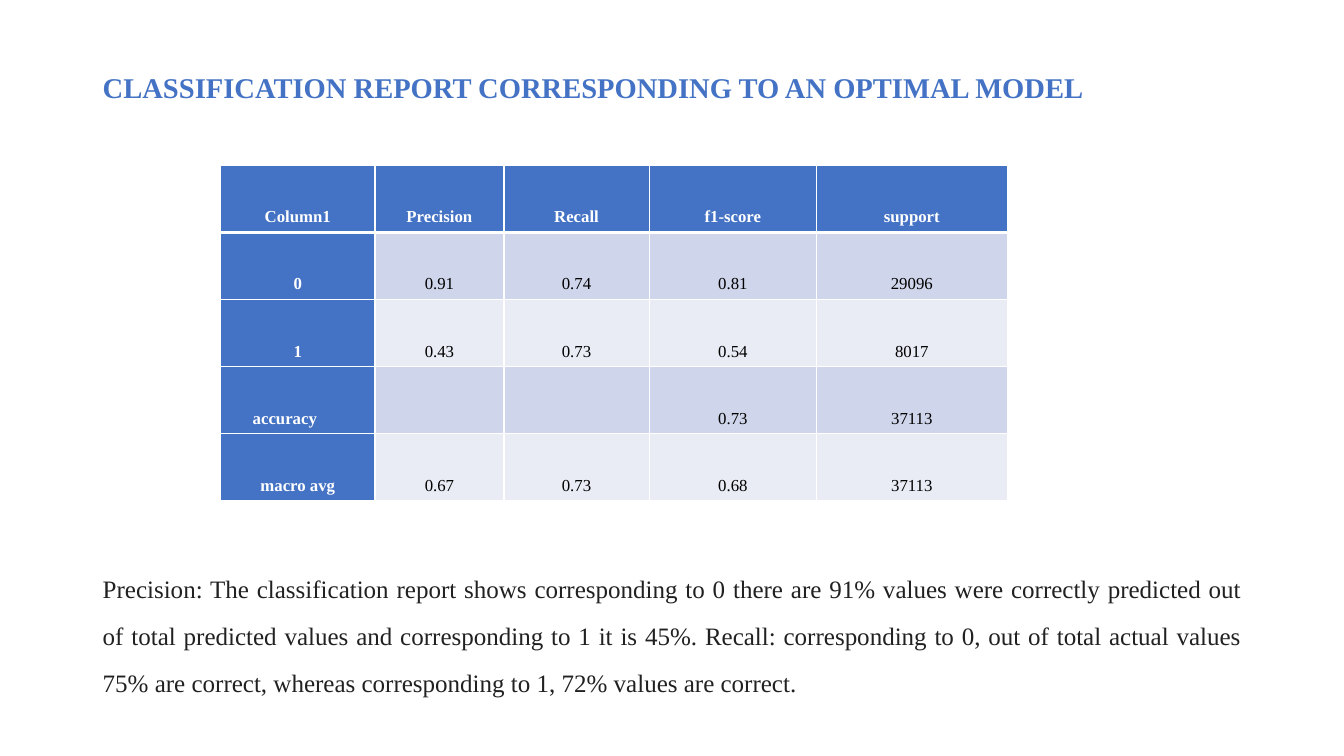
import dataclasses

import lxml.etree
import pptx
import pptx.dml.color
import pptx.enum.text
import pptx.oxml.ns
import pptx.util

Cm = pptx.util.Cm
Align = pptx.enum.text.PP_ALIGN
Anchor = pptx.enum.text.MSO_ANCHOR


@dataclasses.dataclass(frozen=True)
class Theme:
    font: str = "Times New Roman"
    accent: str = "4472C4"
    white: str = "FFFFFF"
    black: str = "000000"
    body: str = "212121"
    bands: tuple[str, str] = ("CFD5EA", "E9EBF5")
    title_size: float = 20.4
    note_size: float = 17.9
    table_size: float = 12
    rule: float = 1
    header_rule: float = 3


@dataclasses.dataclass(frozen=True)
class TextBlock:
    text: str
    top: float
    height: float
    size: float
    color: str
    bold: bool = False
    align: Align = Align.LEFT
    anchor: Anchor = Anchor.TOP
    spacing: float = 1.0


@dataclasses.dataclass(frozen=True)
class Column:
    name: str
    width: float
    values: tuple[str, ...]


THEME = Theme()
LEFT, WIDTH = 2.34, 29.21
TABLE_LEFT, TABLE_TOP, ROW_HEIGHT = 5.56, 4.17, 1.69
CELL_MARGIN, ACCURACY_MARGIN = 0.15, 0.8

BLOCKS = (
    TextBlock(
        "CLASSIFICATION REPORT CORRESPONDING TO AN OPTIMAL MODEL",
        1.6, 1.2, THEME.title_size, THEME.accent, bold=True, anchor=Anchor.MIDDLE,
    ),
    TextBlock(
        "Precision: The classification report shows corresponding to 0 there are 91% values "
        "were correctly predicted out of total predicted values and corresponding to 1 it is 45%. "
        "Recall: corresponding to 0, out of total actual values 75% are correct, "
        "whereas corresponding to 1, 72% values are correct.",
        14.04, 3.6, THEME.note_size, THEME.body, align=Align.JUSTIFY, spacing=1.56,
    ),
)

COLUMNS = (
    Column("Column1", 3.89, ("0", "1", "accuracy", "macro avg")),
    Column("Precision", 3.25, ("0.91", "0.43", "", "0.67")),
    Column("Recall", 3.66, ("0.74", "0.73", "", "0.73")),
    Column("f1-score", 4.22, ("0.81", "0.54", "0.73", "0.68")),
    Column("support", 4.8, ("29096", "8017", "37113", "37113")),
)


def rgb(color: str) -> pptx.dml.color.RGBColor:
    return pptx.dml.color.RGBColor.from_string(color)


def write_text(frame, text: str, *, size: float, color: str, bold: bool = False,
               align: Align = Align.LEFT, spacing: float = 1.0) -> None:
    para = frame.paragraphs[0]
    para.alignment = align
    para.line_spacing = spacing
    span = para.add_run()
    span.text = text
    span.font.name = THEME.font
    span.font.size = pptx.util.Pt(size)
    span.font.bold = bold
    span.font.color.rgb = rgb(color)


def add_block(page, block: TextBlock) -> None:
    box = page.shapes.add_textbox(Cm(LEFT), Cm(block.top), Cm(WIDTH), Cm(block.height))
    frame = box.text_frame
    frame.word_wrap = True
    frame.margin_top = frame.margin_bottom = 0
    frame.vertical_anchor = block.anchor
    write_text(frame, block.text, size=block.size, color=block.color, bold=block.bold,
               align=block.align, spacing=block.spacing)


def add_borders(cell, top: float, bottom: float) -> None:
    properties = cell._tc.get_or_add_tcPr()
    name = pptx.oxml.ns.qn
    sides = {"lnL": THEME.rule, "lnR": THEME.rule, "lnT": top, "lnB": bottom}
    for side, width in sides.items():
        line = lxml.etree.SubElement(properties, name(f"a:{side}"), w=str(pptx.util.Pt(width)))
        fill = lxml.etree.SubElement(line, name("a:solidFill"))
        lxml.etree.SubElement(fill, name("a:srgbClr"), val=THEME.white)


def format_cell(cell, text: str, row: int, is_label: bool) -> None:
    strong = row == 0 or is_label
    add_borders(
        cell,
        top=THEME.header_rule if row == 1 else THEME.rule,
        bottom=THEME.header_rule if row == 0 else THEME.rule,
    )
    cell.fill.solid()
    cell.fill.fore_color.rgb = rgb(THEME.accent if strong else THEME.bands[(row - 1) % 2])
    cell.vertical_anchor = Anchor.BOTTOM
    cell.margin_left = cell.margin_top = cell.margin_bottom = Cm(CELL_MARGIN)
    cell.margin_right = Cm(ACCURACY_MARGIN if text == "accuracy" else CELL_MARGIN)
    if text:
        write_text(cell.text_frame, text, size=THEME.table_size, bold=strong,
                   color=THEME.white if strong else THEME.black, align=Align.CENTER)


def add_report(page, columns: tuple[Column, ...]) -> None:
    row_count = len(columns[0].values) + 1
    table = page.shapes.add_table(
        row_count, len(columns), Cm(TABLE_LEFT), Cm(TABLE_TOP),
        Cm(sum(column.width for column in columns)), Cm(ROW_HEIGHT * row_count),
    ).table
    table.first_col = True
    for row in table.rows:
        row.height = Cm(ROW_HEIGHT)
    for index, column in enumerate(columns):
        table.columns[index].width = Cm(column.width)
        for row, text in enumerate((column.name, *column.values)):
            format_cell(table.cell(row, index), text, row, index == 0)


def main() -> None:
    deck = pptx.Presentation()
    deck.slide_width, deck.slide_height = Cm(33.87), Cm(19.05)
    page = deck.slides.add_slide(deck.slide_layouts[6])
    for block in BLOCKS:
        add_block(page, block)
    add_report(page, COLUMNS)
    deck.save("out.pptx")


if __name__ == "__main__":
    main()
